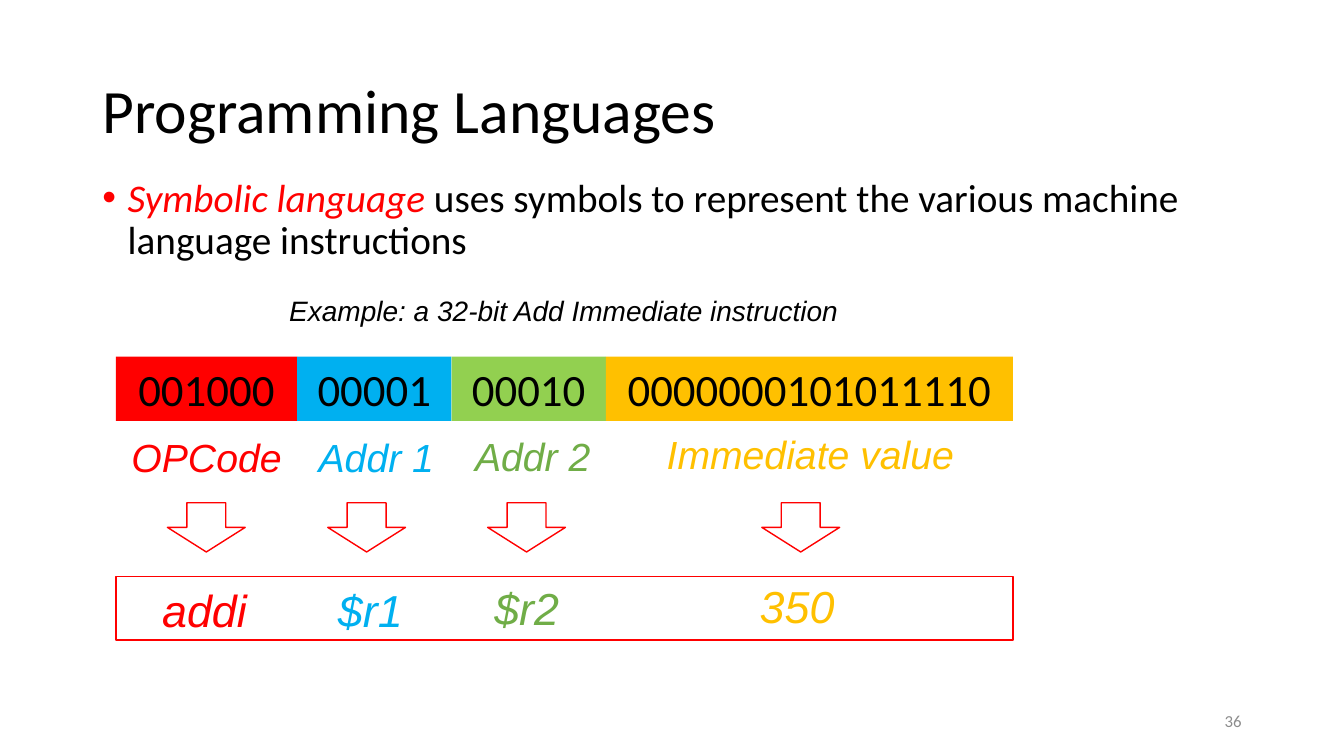
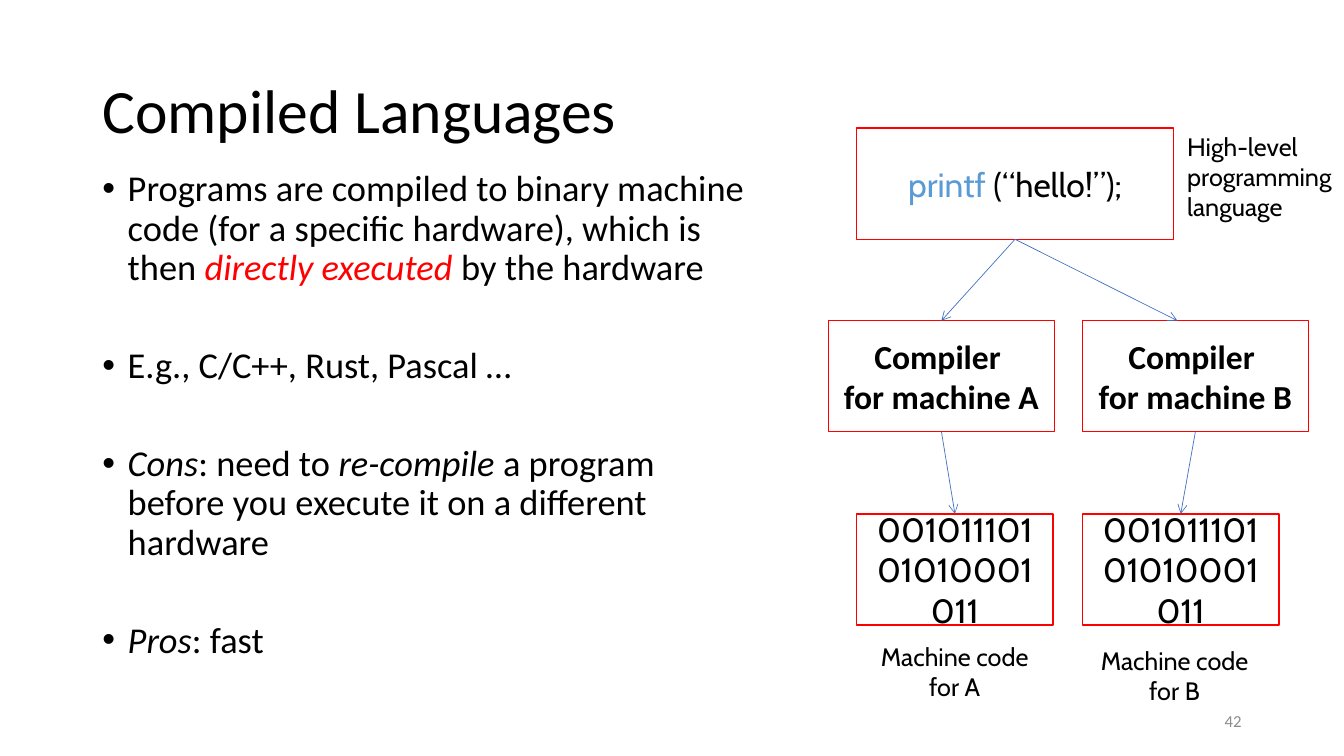
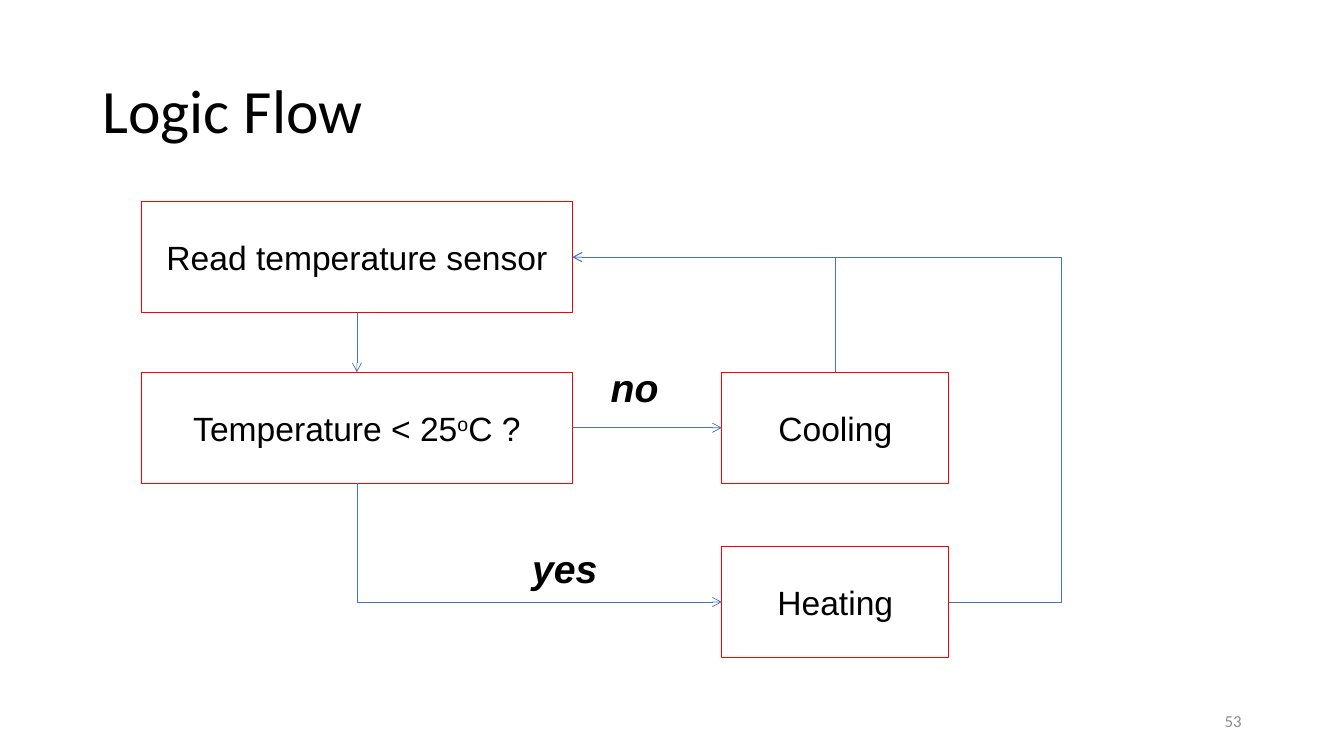
from pptx import Presentation
from pptx.dml.color import RGBColor
from pptx.enum import shapes, text
from pptx.oxml import parse_xml
from pptx.oxml.ns import nsdecls, qn
from pptx.util import Cm, Pt
from lxml import etree

COLOURS = {
    "black": "000000", "white": "FFFFFF", "grey": "8C8C8C", "red": "FF0000",
    "sky": "00B0F0", "lime": "92D050", "green": "70AD47", "gold": "FFC000",
    "keyword": "5B9BD5", "arrow": "4472C4",
}
RECT = shapes.MSO_SHAPE.RECTANGLE
TOP, LEFT, BOTTOM, RIGHT = range(4)
CENTRE = text.PP_ALIGN.CENTER
MIDDLE = text.MSO_ANCHOR.MIDDLE

# Content: a paragraph is a list of runs, a run is (text, differences).
SYMBOLIC = [
    [("Symbolic language ", {"colour": "red", "italic": True}),
     ("uses symbols to represent the various machine language instructions", {})],
]
# bits, width, fill, label, text colour, label left, symbol, symbol left, arrow middle, rise
FIELDS = [
    ("001000", 4.57, "red", "OPCode", "red", 2.92, "addi", 2.87, 5.2, 0),
    ("00001", 3.89, "sky", "Addr 1", "sky", 7.54, "$r1", 7.39, 9.24, 0),
    ("00010", 3.89, "lime", "Addr 2", "green", 11.48, "$r2", 11.33, 13.27, 0.03),
    ("0000000101011110", 10.26, "gold", "Immediate value", "gold", 15.29, "350", 14.96, 20.18, 0.08),
]
COMPILED = [
    [("Programs are compiled to binary machine code (for a specific hardware), which is then ", {}),
     ("directly executed", {"colour": "red", "italic": True}),
     (" by the hardware", {})],
    [("E.g., C/C++, Rust, Pascal …", {})],
    [("Cons", {"italic": True}), (": need to ", {}), ("re-compile", {"italic": True}),
     (" a program before you execute it on a different hardware", {})],
    [("Pros", {"italic": True}), (": fast", {})],
]
PRINTF = [[("printf ", {"colour": "keyword"}), ("(“hello!”);", {})]]
# machine, compiler left, code left, caption left, caption top
MACHINES = [
    ("A", 20.88, 21.59, 21.89, 16.03),
    ("B", 27.28, 27.28, 27.43, 16.13),
]
BINARY = "00101110101010001011"
# name: text, left, top, width
STEPS = {
    "read": ("Read temperature sensor", 3.56, 5.08, 10.87),
    "test": ([[("Temperature < 25", {}), ("o", {"baseline": "30000"}), ("C ?", {})]], 3.56, 9.38, 10.87),
    "cool": ("Cooling", 18.19, 9.38, 5.72),
    "heat": ("Heating", 18.19, 13.77, 5.72),
}
ANSWERS = [("no", 15.14, 9.04), ("yes", 13.16, 13.59)]
BOX_HEIGHT = 2.8


# Shared text and shape tools
def rgb(name):
    return RGBColor.from_string(COLOURS[name])


def style(font, colour=None, size=None, name=None, bold=None, italic=None):
    if colour:
        font.color.rgb = rgb(colour)
    if size:
        font.size = Pt(size)
    if name:
        font.name = name
    if bold is not None:
        font.bold = bold
    if italic is not None:
        font.italic = italic


def write(shape, content, align=None, anchor=text.MSO_ANCHOR.TOP, bullets=False,
          gap=0, spacing=None, **look):
    frame = shape.text_frame
    frame.word_wrap = True
    frame.vertical_anchor = anchor
    if isinstance(content, str):
        content = [[(line, {})] for line in content.split("\n")]
    for number, runs in enumerate(content):
        para = frame.add_paragraph() if number else frame.paragraphs[0]
        para.alignment = align
        if spacing:
            para.line_spacing = spacing
        if number and gap:
            para.space_before = Pt(gap)
        if bullets:
            props = para._p.get_or_add_pPr()
            props.set("marL", str(Cm(0.64)))
            props.set("indent", str(-Cm(0.64)))
            props.append(parse_xml(f'<a:buFont {nsdecls("a")} typeface="Arial"/>'))
            props.append(parse_xml(f'<a:buChar {nsdecls("a")} char="•"/>'))
        style(para.font, **{"colour": "black", **look})
        for words, change in runs:
            span = para.add_run()
            span.text = words
            change = dict(change)
            baseline = change.pop("baseline", None)
            style(span.font, **change)
            if baseline:
                span._r.get_or_add_rPr().set("baseline", baseline)


def add_text(page, content, left, top, width, height, **look):
    box = page.shapes.add_textbox(Cm(left), Cm(top), Cm(width), Cm(height))
    write(box, content, **look)
    return box


def add_box(page, left, top, width, height, fill="white", line="red", kind=RECT):
    box = page.shapes.add_shape(kind, Cm(left), Cm(top), Cm(width), Cm(height))
    box.shadow.inherit = False
    if fill:
        box.fill.solid()
        box.fill.fore_color.rgb = rgb(fill)
    else:
        box.fill.background()
    if line:
        box.line.color.rgb = rgb(line)
        box.line.width = Pt(1)
    else:
        box.line.fill.background()
    return box


def add_node(page, content, left, top, width, **look):
    box = add_box(page, left, top, width, BOX_HEIGHT)
    write(box, content, align=CENTRE, anchor=MIDDLE, size=24, **look)
    return box


def side(box, which):
    across = {LEFT: 0, RIGHT: box.width}.get(which, box.width // 2)
    down = {TOP: 0, BOTTOM: box.height}.get(which, box.height // 2)
    return box.left + across, box.top + down


def add_arrow(page, start, end, kind=shapes.MSO_CONNECTOR.STRAIGHT):
    arrow = page.shapes.add_connector(kind, *start, *end)
    arrow.line.color.rgb = rgb("arrow")
    arrow.line.width = Pt(0.5)
    etree.SubElement(arrow.line._get_or_add_ln(), qn("a:tailEnd"), type="arrow")
    etree.SubElement(arrow._element.spPr, qn("a:effectLst"))
    return arrow


def join(page, first, first_side, second, second_side):
    arrow = add_arrow(page, side(first, first_side), side(second, second_side))
    arrow.begin_connect(first, first_side)
    arrow.end_connect(second, second_side)


def add_corner(page, start, end):
    """One bend: vertical from start, then horizontal to end."""
    arrow = add_arrow(page, start, end, shapes.MSO_CONNECTOR.ELBOW)
    wide, high = abs(end[0] - start[0]), abs(end[1] - start[1])
    mid_x, mid_y = (start[0] + end[0]) // 2, (start[1] + end[1]) // 2
    arrow.left, arrow.top = mid_x - high // 2, mid_y - wide // 2
    arrow.width, arrow.height = high, wide
    props = arrow._element.spPr
    props.find(qn("a:prstGeom")).set("prst", "bentConnector2")
    frame = props.find(qn("a:xfrm"))
    frame.set("rot", str(270 * 60000))
    frame.set("flipH", str(int(end[1] > start[1])))
    frame.set("flipV", str(int(end[1] < start[1])))


def add_loop(page, start, end, bend):
    """Two bends, the upright part at a share of the width."""
    arrow = add_arrow(page, start, end, shapes.MSO_CONNECTOR.ELBOW)
    guides = arrow._element.spPr.find(qn("a:prstGeom")).get_or_add_avLst()
    etree.SubElement(guides, qn("a:gd"), name="adj1", fmla=f"val {round(bend * 100000)}")


def add_page(deck, title, number):
    page = deck.slides.add_slide(deck.slide_layouts[5])
    head = page.shapes.title
    head.left, head.top, head.width, head.height = Cm(2.33), Cm(1.01), Cm(29.21), Cm(3.68)
    write(head, title, align=text.PP_ALIGN.LEFT, anchor=MIDDLE, spacing=0.9, size=44, name="Calibri")
    add_text(page, number, 23.92, 17.65, 7.62, 1.01, align=text.PP_ALIGN.RIGHT,
             anchor=MIDDLE, size=12, name="Calibri", colour="grey")
    return page


# Slides
def symbolic_slide(deck):
    page = add_page(deck, "Programming Languages", "36")
    add_text(page, SYMBOLIC, 2.33, 4.37, 29.63, 12.8, bullets=True, spacing=0.9,
             size=28, name="Calibri")
    add_text(page, "Example: a 32-bit Add Immediate instruction", 2.92, 7.26, 22.58, 1.11,
             align=CENTRE, size=20, name="Arial", italic=True)
    left = 2.92
    for bits, width, fill, label, colour, label_left, symbol, symbol_left, middle, rise in FIELDS:
        cell = add_box(page, left, 8.99, width, 1.62, fill, None)
        write(cell, bits, align=CENTRE, size=32, name="Calibri")
        words = dict(align=CENTRE, name="Arial", italic=True, colour=colour)
        add_text(page, label, label_left, 10.8 - rise, width, 1.45, size=28, **words)
        add_text(page, symbol, symbol_left, 14.55 - rise, width, 1.62, size=32, **words)
        add_box(page, middle - 0.98, 12.67, 1.96, 1.24, kind=shapes.MSO_SHAPE.DOWN_ARROW)
        left += width
    add_box(page, 2.92, 14.53, left - 2.92, 1.6, fill=None)


def compiled_slide(deck):
    page = add_page(deck, "Compiled Languages", "42")
    add_text(page, COMPILED, 2.33, 4.17, 16.81, 14.02, bullets=True, spacing=0.9, gap=42,
             size=26, name="Calibri")
    source = add_node(page, PRINTF, 21.59, 3.23, 7.98, name="Cabin")
    note = add_text(page, "High-level programming language", 29.67, 3.18, 4.19, 2.57,
                    size=18, name="Cabin")
    note.text_frame.margin_right = 0
    for machine, compiler_left, code_left, caption_left, caption_top in MACHINES:
        compiler = add_node(page, f"Compiler \nfor machine {machine}", compiler_left, 8.08, 5.69,
                            name="Calibri", bold=True)
        code = add_node(page, BINARY, code_left, 12.95, 4.95, name="Cabin")
        add_text(page, f"Machine code \nfor {machine}", caption_left, caption_top, 4.34, 1.8,
                 align=CENTRE, size=18, name="Cabin")
        if machine == "A":
            join(page, source, BOTTOM, compiler, TOP)
        else:
            add_arrow(page, side(source, BOTTOM), (Cm(29.67), compiler.top))
        join(page, compiler, BOTTOM, code, TOP)


def flow_slide(deck):
    page = add_page(deck, "Logic Flow", "53")
    node = {key: add_node(page, *place, name="Arial") for key, place in STEPS.items()}
    join(page, node["read"], BOTTOM, node["test"], TOP)
    join(page, node["test"], RIGHT, node["cool"], LEFT)
    add_corner(page, side(node["test"], BOTTOM), side(node["heat"], LEFT))
    add_corner(page, side(node["cool"], TOP), side(node["read"], RIGHT))
    add_loop(page, side(node["heat"], RIGHT), side(node["read"], RIGHT), -0.3)
    for answer, left, top in ANSWERS:
        add_text(page, answer, left, top, 4.98, 1.45, size=28, name="Arial", bold=True, italic=True)


def main():
    deck = Presentation()
    deck.slide_width, deck.slide_height = Cm(33.87), Cm(19.05)
    symbolic_slide(deck)
    compiled_slide(deck)
    flow_slide(deck)
    deck.save("out.pptx")


if __name__ == "__main__":
    main()
